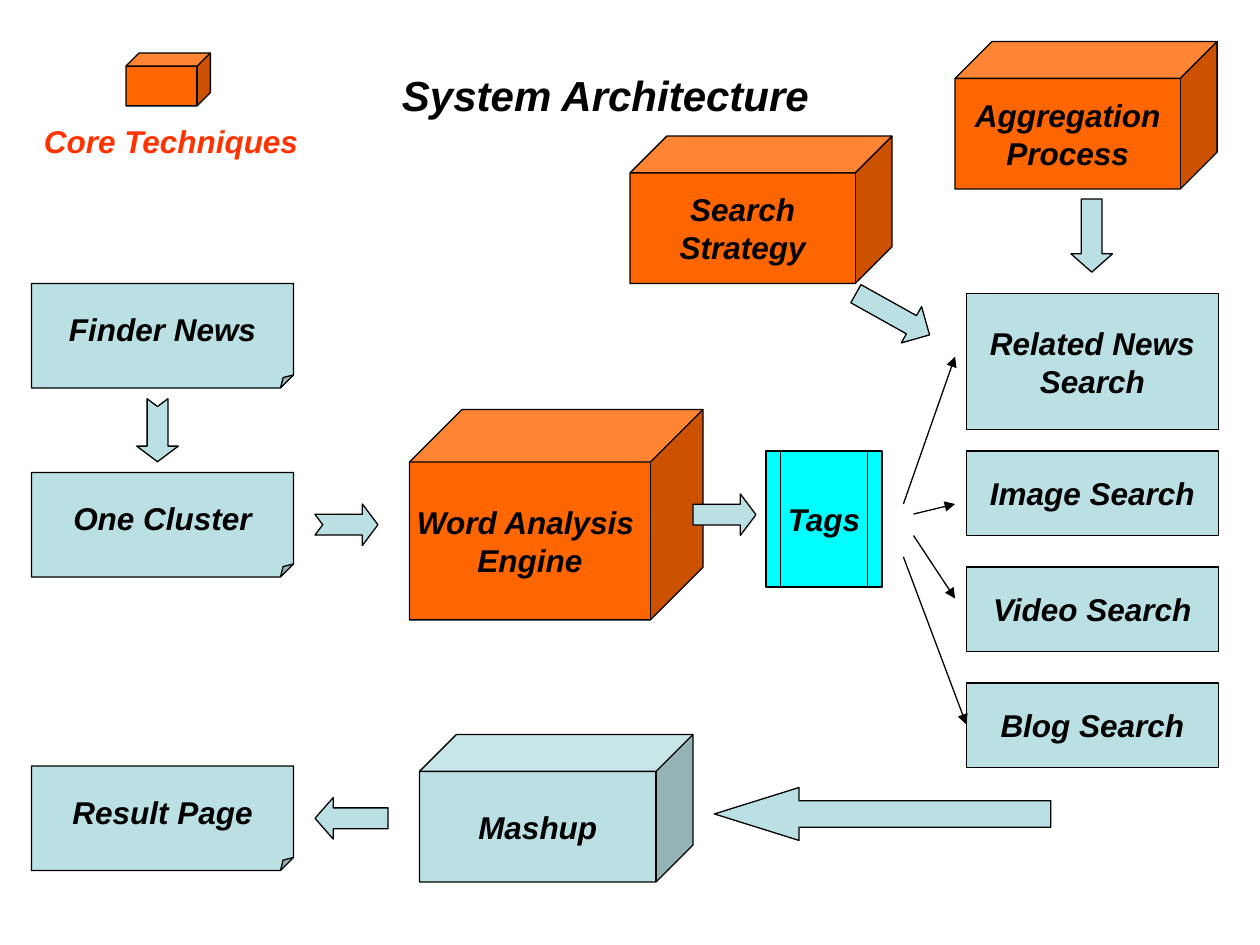
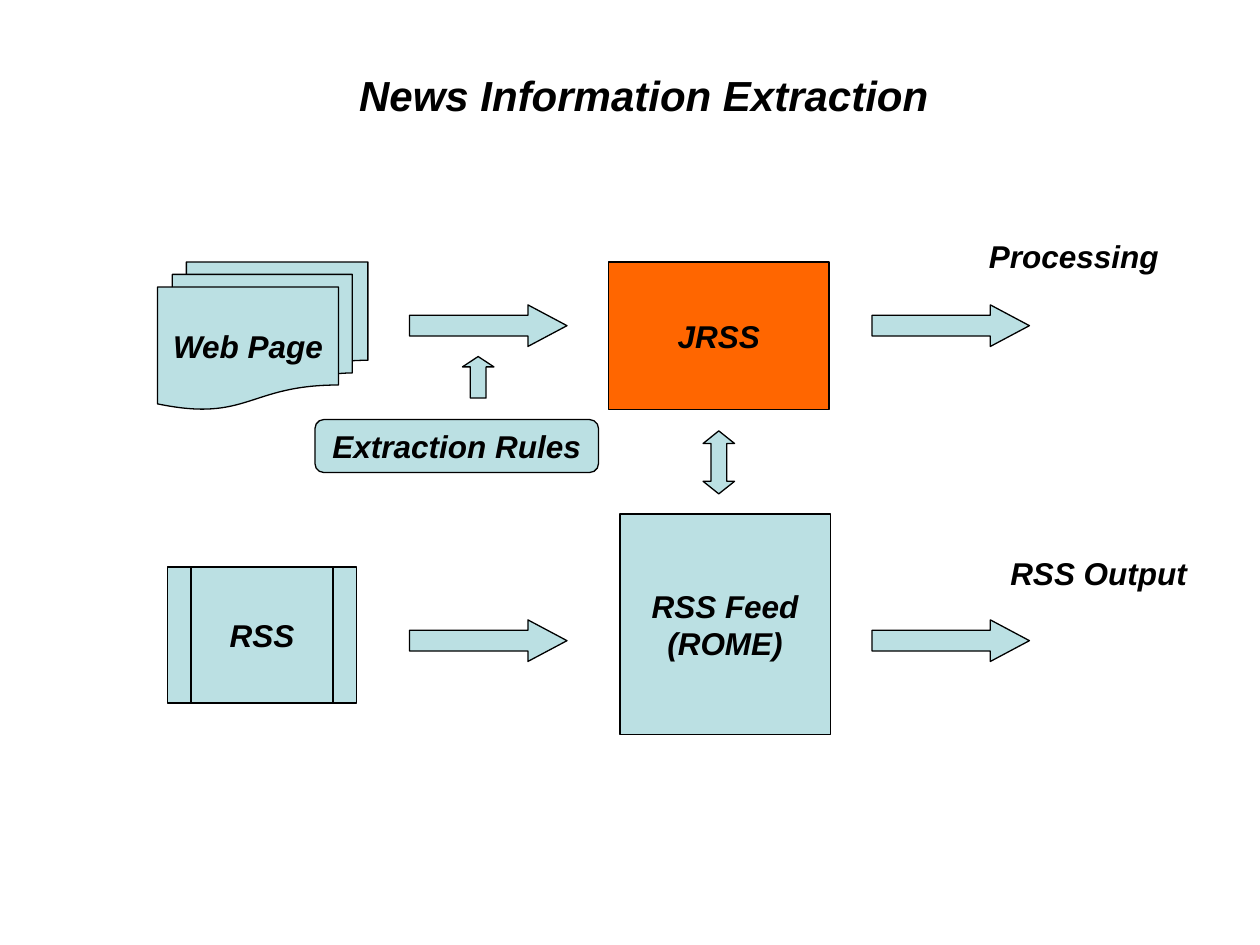
"""Build two slides: a news search architecture and its extraction flow."""
from lxml import etree
from pptx import Presentation
from pptx.dml.color import RGBColor
from pptx.enum.shapes import MSO_CONNECTOR, MSO_SHAPE
from pptx.enum.text import MSO_ANCHOR, MSO_AUTO_SIZE, PP_ALIGN
from pptx.oxml.ns import qn
from pptx.util import Inches, Pt

STRAIGHT = MSO_CONNECTOR.STRAIGHT
CUBE = MSO_SHAPE.CUBE
FOLDED = MSO_SHAPE.FOLDED_CORNER
RECT = MSO_SHAPE.RECTANGLE
PROCESS = MSO_SHAPE.FLOWCHART_PREDEFINED_PROCESS
MULTIDOC = MSO_SHAPE.FLOWCHART_MULTIDOCUMENT
ROUNDED = MSO_SHAPE.FLOWCHART_ALTERNATE_PROCESS
RIGHT = MSO_SHAPE.RIGHT_ARROW
LEFT = MSO_SHAPE.LEFT_ARROW
UP = MSO_SHAPE.UP_ARROW
DOWN = MSO_SHAPE.DOWN_ARROW
UP_DOWN = MSO_SHAPE.UP_DOWN_ARROW
NOTCHED = MSO_SHAPE.NOTCHED_RIGHT_ARROW
TOP, MIDDLE = MSO_ANCHOR.TOP, MSO_ANCHOR.MIDDLE
GROW = MSO_AUTO_SIZE.SHAPE_TO_FIT_TEXT
ALIGN_LEFT, CENTER = PP_ALIGN.LEFT, PP_ALIGN.CENTER

COLORS = {
    "ink": "000000",
    "step": "BBE0E3",
    "core": "FF6600",
    "tags": "00FFFF",
    "legend": "FF3300",
}
FONT = "Arial"
LINE_WIDTH = Pt(0.75)


def write(frame, lines, size=18, color="ink", align=CENTER, anchor=MIDDLE):
    frame.word_wrap = False
    frame.vertical_anchor = anchor
    frame.margin_left = frame.margin_right = Inches(0.1)
    frame.margin_top = frame.margin_bottom = Inches(0.05)
    for index, line in enumerate(lines):
        paragraph = frame.add_paragraph() if index else frame.paragraphs[0]
        paragraph.alignment = align
        run = paragraph.add_run()
        run.text = line
        run.font.name = FONT
        run.font.size = Pt(size)
        run.font.bold = run.font.italic = True
        run.font.color.rgb = RGBColor.from_string(COLORS[color])


def add_block(slide, kind, box, fill="step", lines=(), head=None, rotation=0):
    block = slide.shapes.add_shape(kind, *map(Inches, box))
    block.shadow.inherit = False
    block.fill.solid()
    block.fill.fore_color.rgb = RGBColor.from_string(COLORS[fill])
    block.line.color.rgb = RGBColor.from_string(COLORS["ink"])
    block.line.width = LINE_WIDTH
    block.rotation = rotation
    if head is not None:
        guides = block._element.spPr.find(qn("a:prstGeom")).find(qn("a:avLst"))
        for guide in list(guides):
            guides.remove(guide)
        for name, value in [("adj1", 0.5), ("adj2", head)]:
            etree.SubElement(guides, qn("a:gd"), name=name, fmla=f"val {round(value * 100000)}")
    write(block.text_frame, lines)


prs = Presentation()
prs.slide_width, prs.slide_height = Inches(10), Inches(7.5)
slides = []
for heading, left, width in [
    ("System Architecture", 3.09, 3.44),
    ("News Information Extraction", 2.75, 4.72),
]:
    slide = prs.slides.add_slide(prs.slide_layouts[5])
    title = slide.shapes.title
    title.left, title.top = Inches(left), Inches(0.5)
    title.width, title.height = Inches(width), Inches(0.5)
    write(title.text_frame, [heading], size=24, align=ALIGN_LEFT, anchor=TOP)
    title.text_frame.auto_size = GROW
    slides.append(slide)
architecture, extraction = slides

for top, name in [(2.25, "Finder News"), (3.75, "One Cluster"), (6.08, "Result Page")]:
    box = (0.25, top, 2.08, 0.83)
    add_block(architecture, FOLDED, box, lines=[name])
    corner = architecture.shapes[-1]._element.spPr.find(qn("a:prstGeom")).find(qn("a:avLst"))
    if len(corner) == 0:
        etree.SubElement(corner, qn("a:gd"), name="adj", fmla="val 12500")

for box, fill, lines in [
    ((1, 0.42, 0.67, 0.42), "core", []),
    ((3.25, 3.25, 2.33, 1.67), "core", ["Word Analysis ", "Engine"]),
    ((5, 1.08, 2.08, 1.17), "core", ["Search", "Strategy"]),
    ((7.58, 0.33, 2.08, 1.17), "core", ["Aggregation", "Process"]),
    ((3.33, 5.83, 2.17, 1.17), "step", ["Mashup"]),
]:
    add_block(architecture, CUBE, box, fill, lines)

add_block(architecture, PROCESS, (6.08, 3.58, 0.92, 1.08), "tags", ["Tags"])
add_block(architecture, RECT, (7.67, 2.33, 2, 1.08), lines=["Related News", "Search"])
for row, medium in enumerate(["Image", "Video", "Blog"]):
    add_block(architecture, RECT, (7.67, 3.58 + 0.92 * row, 2, 0.67), lines=[f"{medium} Search"])

for kind, box, head, rotation in [
    (NOTCHED, (1, 3.25, 0.5, 0.33), 0.375, 90),
    (NOTCHED, (2.5, 4, 0.5, 0.33), 0.375, 0),
    (RIGHT, (5.5, 3.92, 0.5, 0.33), 0.375, 0),
    (RIGHT, (6.75, 2.33, 0.67, 0.33), 0.5, 29.2),
    (DOWN, (8.5, 1.58, 0.33, 0.58), 0.44, 0),
    (LEFT, (5.67, 6.25, 2.67, 0.42), 1.6, 0),
    (LEFT, (2.5, 6.33, 0.58, 0.33), 0.44, 0),
]:
    add_block(architecture, kind, box, head=head, rotation=rotation)

for ends in [
    (7.17, 4, 7.58, 2.83),
    (7.25, 4.08, 7.58, 4),
    (7.25, 4.25, 7.58, 4.75),
    (7.17, 4.42, 7.67, 5.75),
]:
    search_link = architecture.shapes.add_connector(STRAIGHT, *map(Inches, ends))
    search_link.line.color.rgb = RGBColor.from_string(COLORS["ink"])
    search_link.line.width = LINE_WIDTH
    outline = search_link._element.spPr.find(qn("a:ln"))
    etree.SubElement(outline, qn("a:tailEnd"), type="triangle")
    etree.SubElement(search_link._element.spPr, qn("a:effectLst"))

for kind, box, fill, lines in [
    (RECT, (4.92, 4.08, 1.67, 1.75), "step", ["RSS Feed", "(ROME)"]),
    (RECT, (4.83, 2.08, 1.75, 1.17), "core", ["JRSS"]),
    (MULTIDOC, (1.25, 2.08, 1.67, 1.17), "step", ["Web Page"]),
    (PROCESS, (1.33, 4.5, 1.5, 1.08), "step", ["RSS"]),
    (ROUNDED, (2.5, 3.33, 2.25, 0.42), "step", ["Extraction Rules"]),
]:
    add_block(extraction, kind, box, fill, lines)

for left in (3.25, 6.92):
    for top in (2.42, 4.92):
        add_block(extraction, RIGHT, (left, top, 1.25, 0.33), head=0.94)
add_block(extraction, UP_DOWN, (5.58, 3.42, 0.25, 0.5), head=0.4)
add_block(extraction, UP, (3.67, 2.83, 0.25, 0.33), head=0.33)

for slide, left, top, width, caption, color in [
    (architecture, 0.25, 0.92, 2.23, "Core Techniques", "legend"),
    (extraction, 7.75, 1.83, 1.55, "Processing", "ink"),
    (extraction, 7.92, 4.35, 1.6, "RSS Output", "ink"),
]:
    label = slide.shapes.add_textbox(Inches(left), Inches(top), Inches(width), Inches(0.4))
    write(label.text_frame, [caption], color=color, align=ALIGN_LEFT, anchor=TOP)
    label.text_frame.auto_size = GROW

prs.save("out.pptx")
